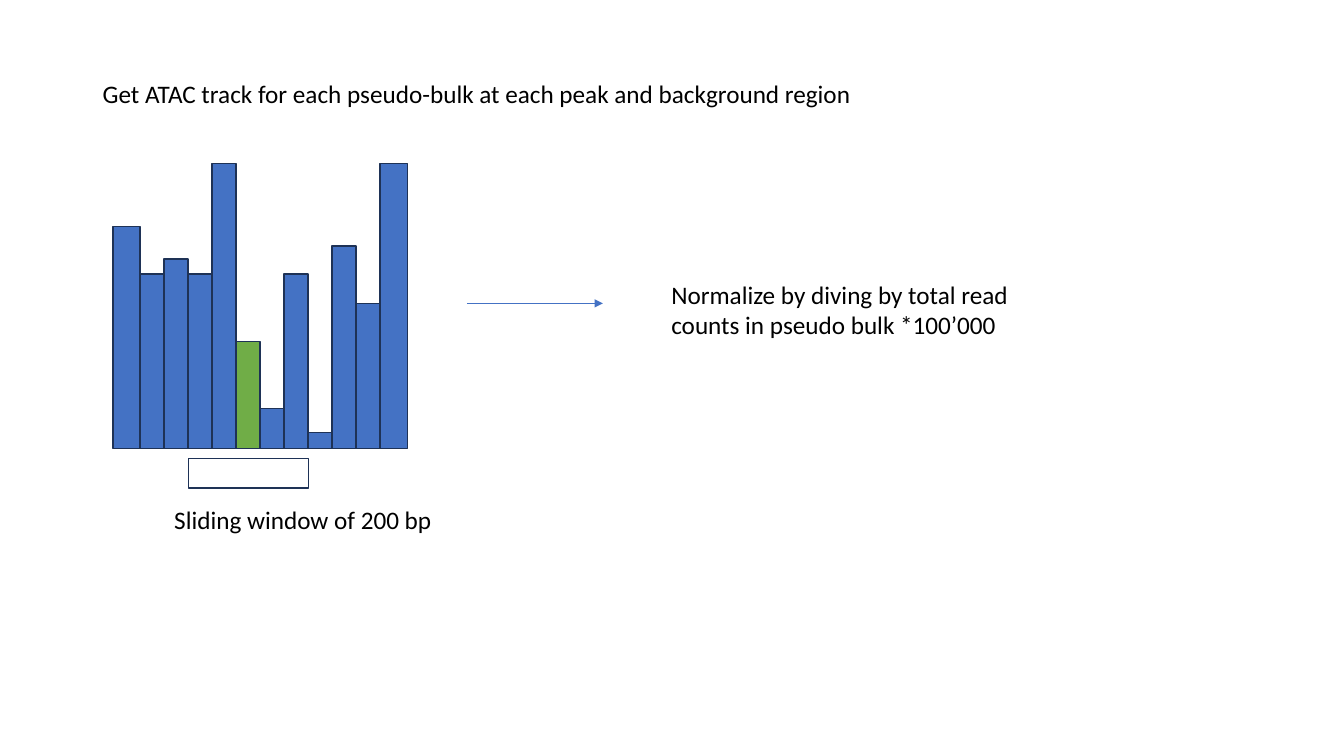
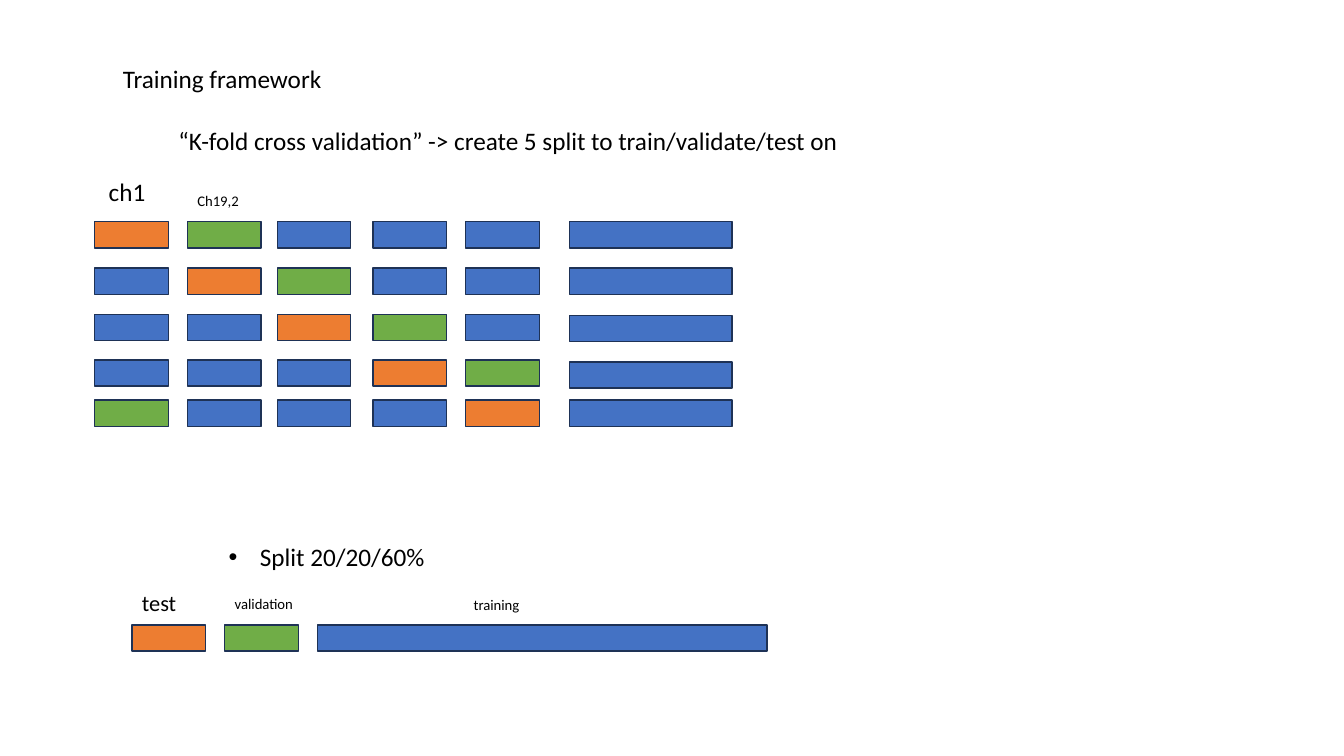
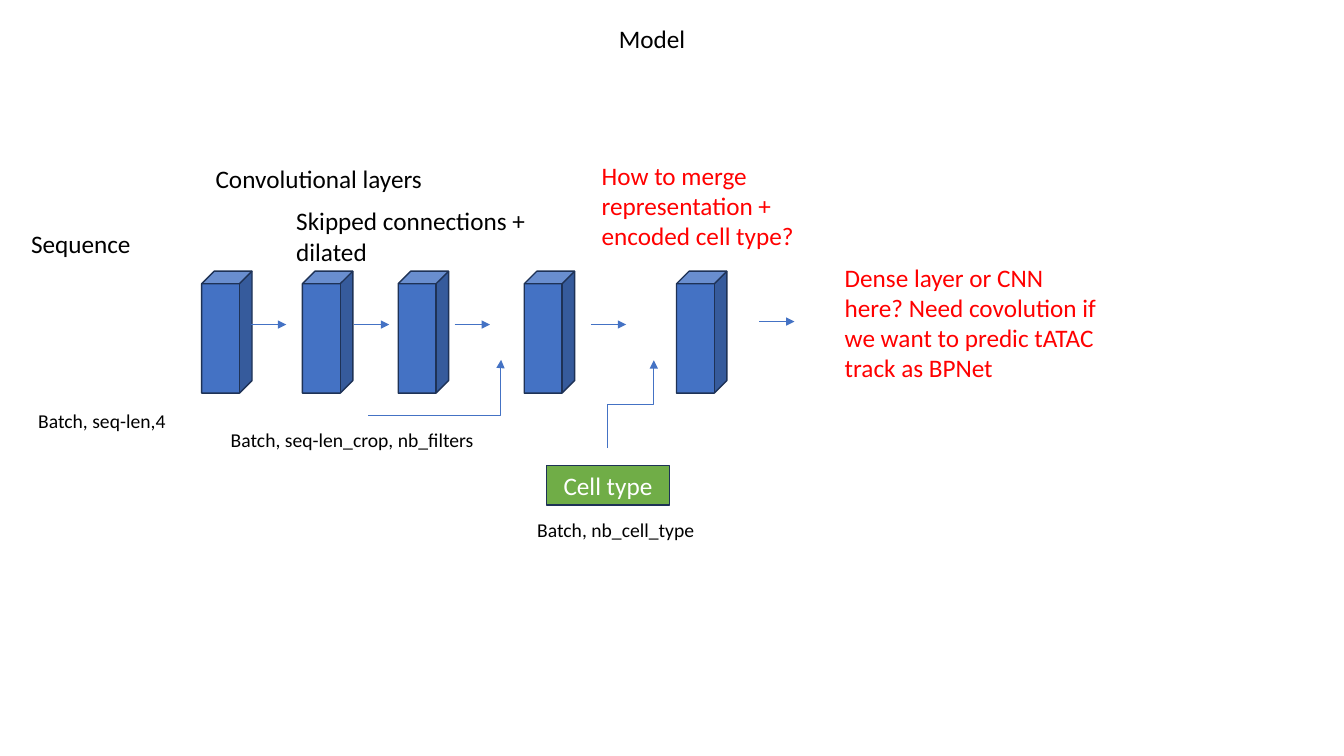
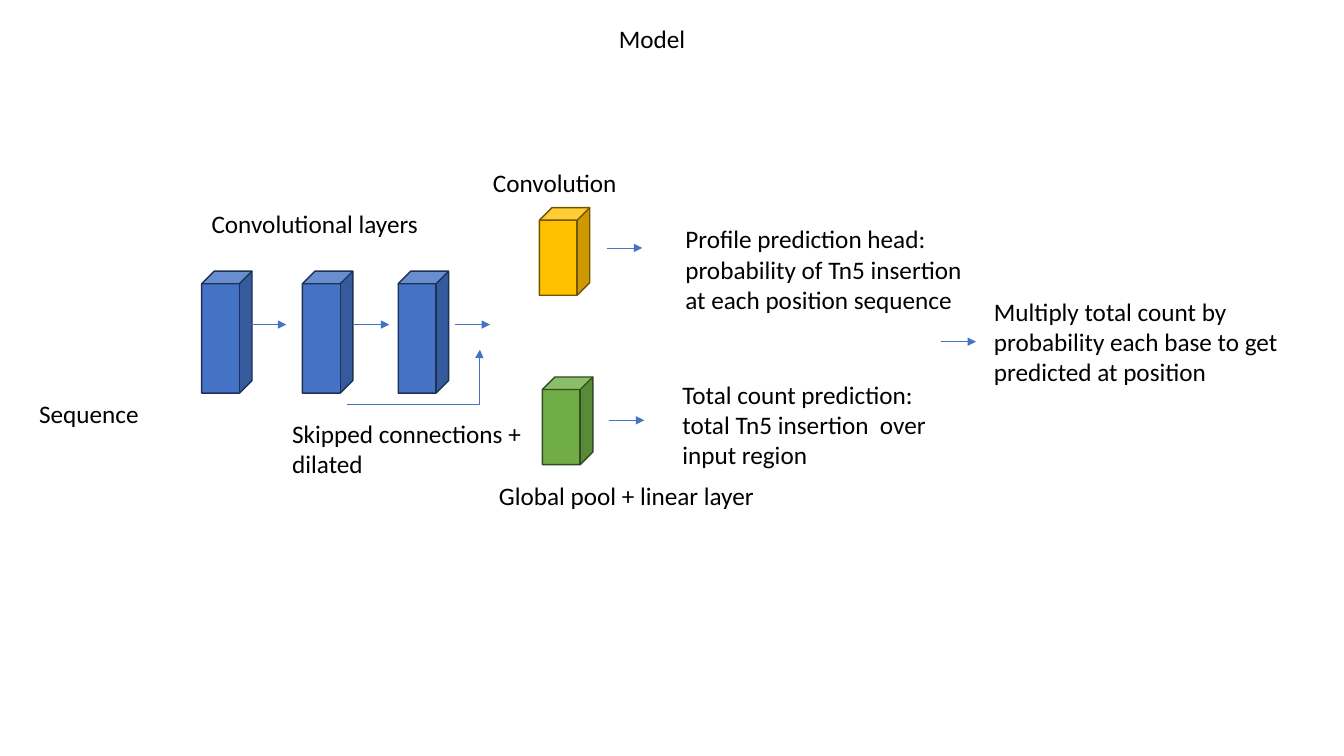
from lxml import etree
from pptx import Presentation
from pptx.dml.color import RGBColor
from pptx.enum.shapes import MSO_CONNECTOR, MSO_SHAPE
from pptx.enum.text import MSO_ANCHOR, PP_ALIGN
from pptx.oxml.ns import qn
from pptx.util import Inches, Pt

RECTANGLE, CUBE = MSO_SHAPE.RECTANGLE, MSO_SHAPE.CUBE
STRAIGHT, ELBOW = MSO_CONNECTOR.STRAIGHT, MSO_CONNECTOR.ELBOW
MIDDLE, CENTER = MSO_ANCHOR.MIDDLE, PP_ALIGN.CENTER

BLUE = RGBColor(0x44, 0x72, 0xC4)
GREEN = RGBColor(0x70, 0xAD, 0x47)
ORANGE = RGBColor(0xED, 0x7D, 0x31)
GOLD = RGBColor(0xFF, 0xC0, 0x00)
NAVY = RGBColor(0x1E, 0x32, 0x56)
DARK_GOLD = RGBColor(0x70, 0x54, 0x00)
DARK_GREEN = RGBColor(0x31, 0x4C, 0x1F)
BLACK = RGBColor(0x00, 0x00, 0x00)
WHITE = RGBColor(0xFF, 0xFF, 0xFF)
RED = RGBColor(0xFF, 0x00, 0x00)
FONT = "Calibri"


def add_label(page, text, left, top, width, height=0.4, size=18, color=BLACK):
    box = page.shapes.add_textbox(Inches(left), Inches(top), Inches(width), Inches(height))
    box.text_frame.word_wrap = True
    box.text_frame.text = text
    font = box.text_frame.paragraphs[0].runs[0].font
    font.name, font.size, font.color.rgb = FONT, Pt(size), color
    return box


def add_block(page, kind, left, top, width, height, fill=BLUE, outline=NAVY):
    block = page.shapes.add_shape(kind, Inches(left), Inches(top), Inches(width), Inches(height))
    block.shadow.inherit = False
    if fill is None:
        block.fill.background()
    else:
        block.fill.solid()
        block.fill.fore_color.rgb = fill
    block.line.color.rgb = outline
    block.line.width = Pt(1)
    return block


deck = Presentation()
deck.slide_width, deck.slide_height = Inches(13.33), Inches(7.5)
blank = deck.slide_layouts[6]
track_page, training_page, merge_page, heads_page = [
    deck.slides.add_slide(blank) for _ in range(4)]

# Slide 1: ATAC track as bars on a common baseline
add_label(track_page, "Get ATAC track for each pseudo-bulk at each peak and background region",
          0.92, 0.73, 9.73)
BASELINE = 4.45
bar_step = (3.77 - 1.39) / 10
bar_heights = [1.73, 1.88, 1.73, 2.83, 1.06, 0.4, 1.73, 0.16, 2.01, 1.44]
add_block(track_page, RECTANGLE, 1.12, BASELINE - 2.2, 0.27, 2.2)
for index, height in enumerate(bar_heights):
    add_block(track_page, RECTANGLE, 1.39 + index * bar_step, BASELINE - height,
              bar_step, height, GREEN if index == 4 else BLUE)
add_block(track_page, RECTANGLE, 3.77, BASELINE - 2.83, 0.27, 2.83)
add_block(track_page, RECTANGLE, 1.87, 4.55, 1.19, 0.29, fill=None)
add_label(track_page, "Sliding window of 200 bp", 1.63, 4.95, 7.14)
add_label(track_page, "Normalize by diving by total read counts in pseudo bulk *100’000",
          6.56, 2.72, 4.26, 1.01)

# Slide 2: the test and validation blocks move one column per fold
add_label(training_page, "Training framework", 1.12, 0.58, 9.73)
add_label(training_page, "“K-fold cross validation” -> create 5 split to train/validate/test on",
          1.67, 1.19, 9.73)
add_label(training_page, "ch1", 0.98, 1.7, 2.26)
add_label(training_page, "Ch19,2", 1.86, 1.85, 2.26, 0.28, 10.5)
BLOCK_WIDTH, BLOCK_HEIGHT = 0.73, 0.26
column_lefts = [0.94, 1.86, 2.75, 3.7, 4.62]
fold_tops = [2.2, 2.66, 3.12, 3.57, 3.97]
rest_tops = [2.2, 2.66, 3.13, 3.59, 3.97]
for fold, (top, rest_top) in enumerate(zip(fold_tops, rest_tops)):
    fills = {fold: ORANGE, (fold + 1) % len(column_lefts): GREEN}
    for column, left in enumerate(column_lefts):
        add_block(training_page, RECTANGLE, left, top, BLOCK_WIDTH, BLOCK_HEIGHT,
                  fills.get(column, BLUE))
    add_block(training_page, RECTANGLE, 5.65, rest_top, 1.61, BLOCK_HEIGHT)

# Slide 2: split proportions
split_label = add_label(training_page, "Split 20/20/60%", 2.17, 5.32, 9.73)
properties = split_label.text_frame.paragraphs[0]._p.get_or_add_pPr()
properties.set("marL", str(Inches(0.31)))
properties.set("indent", str(Inches(-0.31)))
etree.SubElement(properties, qn("a:buFont")).set("typeface", "Arial")
etree.SubElement(properties, qn("a:buChar")).set("char", "•")
for left, width, fill in [(1.31, BLOCK_WIDTH, ORANGE), (2.23, BLOCK_WIDTH, GREEN),
                          (3.15, 4.46, BLUE)]:
    add_block(training_page, RECTANGLE, left, 6.2, width, BLOCK_HEIGHT, fill)
add_label(training_page, "test", 1.31, 5.8, 2.26, 0.37, 16)
add_label(training_page, "validation", 2.23, 5.85, 2.26, 0.28, 10.5)
add_label(training_page, "training", 4.6, 5.86, 2.26, 0.28, 10.5)

# Slides 3 and 4: shared title and convolutional layers
CUBE_TOP, CUBE_WIDTH, CUBE_HEIGHT = 2.69, 0.5, 1.21
for page in (merge_page, heads_page):
    add_label(page, "Model", 6.04, 0.18, 4.99)
    for left in (2, 3, 3.95):
        add_block(page, CUBE, left, CUBE_TOP, CUBE_WIDTH, CUBE_HEIGHT)

# Slide 3: merging sequence and cell type
for left in (5.2, 6.71):
    add_block(merge_page, CUBE, left, CUBE_TOP, CUBE_WIDTH, CUBE_HEIGHT)
cell_type = add_block(merge_page, RECTANGLE, 5.42, 4.62, 1.22, 0.39, GREEN)
cell_type.text_frame.text = "Cell type"
cell_type.text_frame.vertical_anchor = MIDDLE
para = cell_type.text_frame.paragraphs[0]
para.alignment = CENTER
font = para.runs[0].font
font.name, font.size, font.color.rgb = FONT, Pt(18), WHITE
add_label(merge_page, "Sequence", 0.21, 2.22, 2.8)
add_label(merge_page, "Convolutional layers", 2.04, 1.57, 2.8)
add_label(merge_page, "Skipped connections + dilated", 2.84, 1.99, 2.8, 0.71)
for text, left, top, width in [("Batch, seq-len,4", 0.28, 4.01, 2.38),
                               ("Batch, seq-len_crop, nb_filters", 2.19, 4.2, 3.46),
                               ("Batch, nb_cell_type", 5.23, 5.09, 3.46)]:
    add_label(merge_page, text, left, top, width, 0.34, 14)
add_label(merge_page, "How to merge representation + encoded cell type?",
          5.87, 1.54, 2.8, 1.01, color=RED)
add_label(merge_page, "Dense layer or CNN here? Need covolution if we want to predic tATAC "
          "track as BPNet", 8.28, 2.55, 2.8, 1.31, color=RED)

# Slide 4: profile head and total count head
add_block(heads_page, CUBE, 5.35, 2.06, CUBE_WIDTH, 0.87, GOLD, DARK_GOLD)
add_block(heads_page, CUBE, 5.38, 3.74, CUBE_WIDTH, 0.87, GREEN, DARK_GREEN)
add_label(heads_page, "Sequence", 0.29, 3.9, 2.8)
add_label(heads_page, "Convolutional layers", 2, 2.02, 2.8)
add_label(heads_page, "Skipped connections + dilated", 2.8, 4.1, 2.8, 0.71)
add_label(heads_page, "Convolution", 4.79, 1.61, 2.8)
add_label(heads_page, "Global pool + linear layer", 4.85, 4.72, 2.8)
add_label(heads_page, "Profile prediction head: probability of Tn5 insertion at each position "
          "sequence", 6.7, 2.17, 3, 1.01)
add_label(heads_page, "Total count prediction: total Tn5 insertion  over input region",
          6.67, 3.71, 3, 1.01)
add_label(heads_page, "Multiply total count by probability each base to get predicted at position",
          9.76, 2.89, 3.57, 1.01)

# Arrows: page, kind, start, end, share of the way to the bend, quarter turns
ARROW_LENGTH = 0.35
arrows = [
    (track_page, STRAIGHT, (4.63, 3.01), (5.98, 3.01), None, 0),
    (merge_page, ELBOW, (3.65, 4.12), (4.97, 3.57), 0.996, 0),
    (merge_page, ELBOW, (6.69, 4.24), (5.82, 3.78), 0.5, 1),
    (heads_page, ELBOW, (3.44, 4.01), (4.76, 3.47), 0.996, 0),
]
short_arrows = [(page, left, 3.22) for page in (merge_page, heads_page)
                for left in (2.49, 3.51, 4.51)]
short_arrows += [(merge_page, 5.86, 3.22), (merge_page, 7.53, 3.19), (heads_page, 6.02, 2.46),
                 (heads_page, 6.04, 4.17), (heads_page, 9.33, 3.39)]
for page, left, top in short_arrows:
    arrows.append((page, STRAIGHT, (left, top), (left + ARROW_LENGTH, top), None, 0))

for page, kind, start, end, bend, turns in arrows:
    arrow = page.shapes.add_connector(kind, *[Inches(value) for value in start + end])
    arrow.line.color.rgb = BLUE
    arrow.line.width = Pt(0.5)
    properties = arrow._element.spPr
    etree.SubElement(properties.find(qn("a:ln")), qn("a:tailEnd")).set("type", "triangle")
    etree.SubElement(properties, qn("a:effectLst"))
    if turns:
        properties.find(qn("a:xfrm")).set("rot", str(turns * 5400000))
    if bend is not None:
        guides = properties.find(qn("a:prstGeom")).find(qn("a:avLst"))
        guide = etree.SubElement(guides, qn("a:gd"))
        guide.set("name", "adj1")
        guide.set("fmla", f"val {round(bend * 100000)}")

deck.save("out.pptx")
